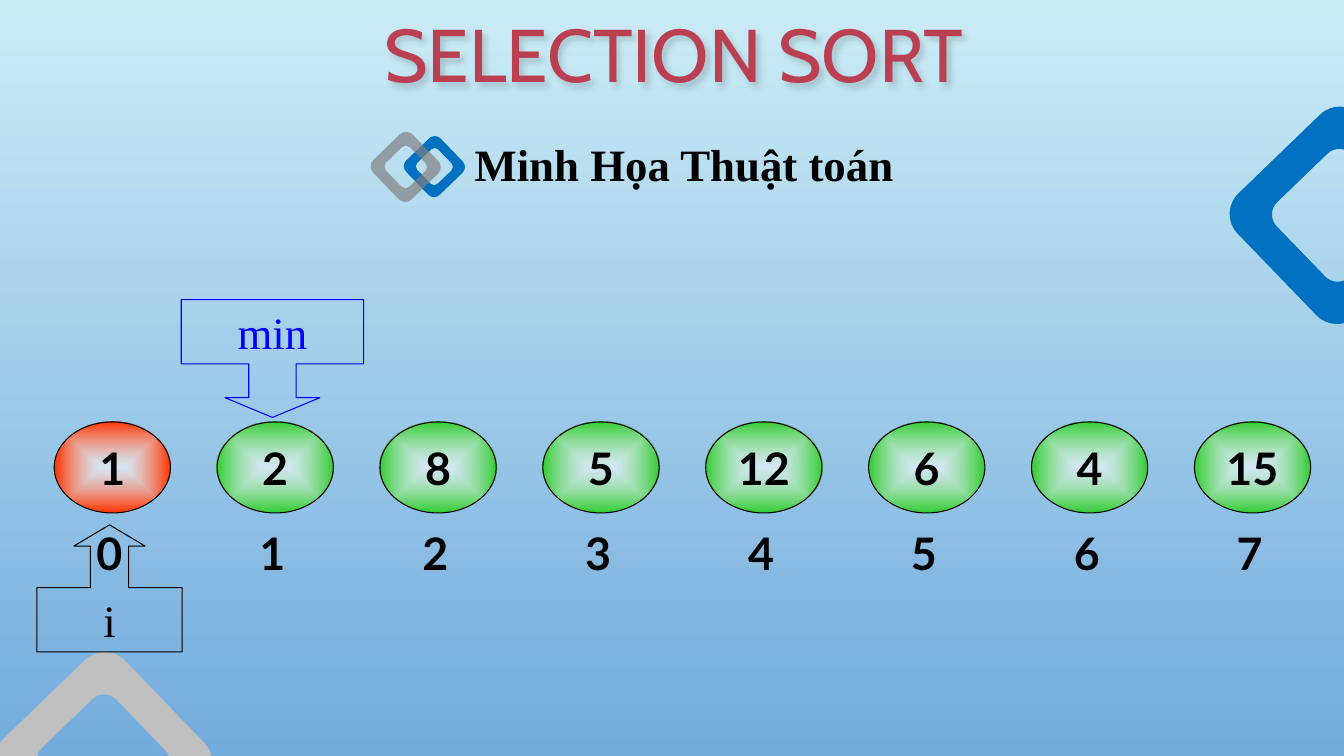
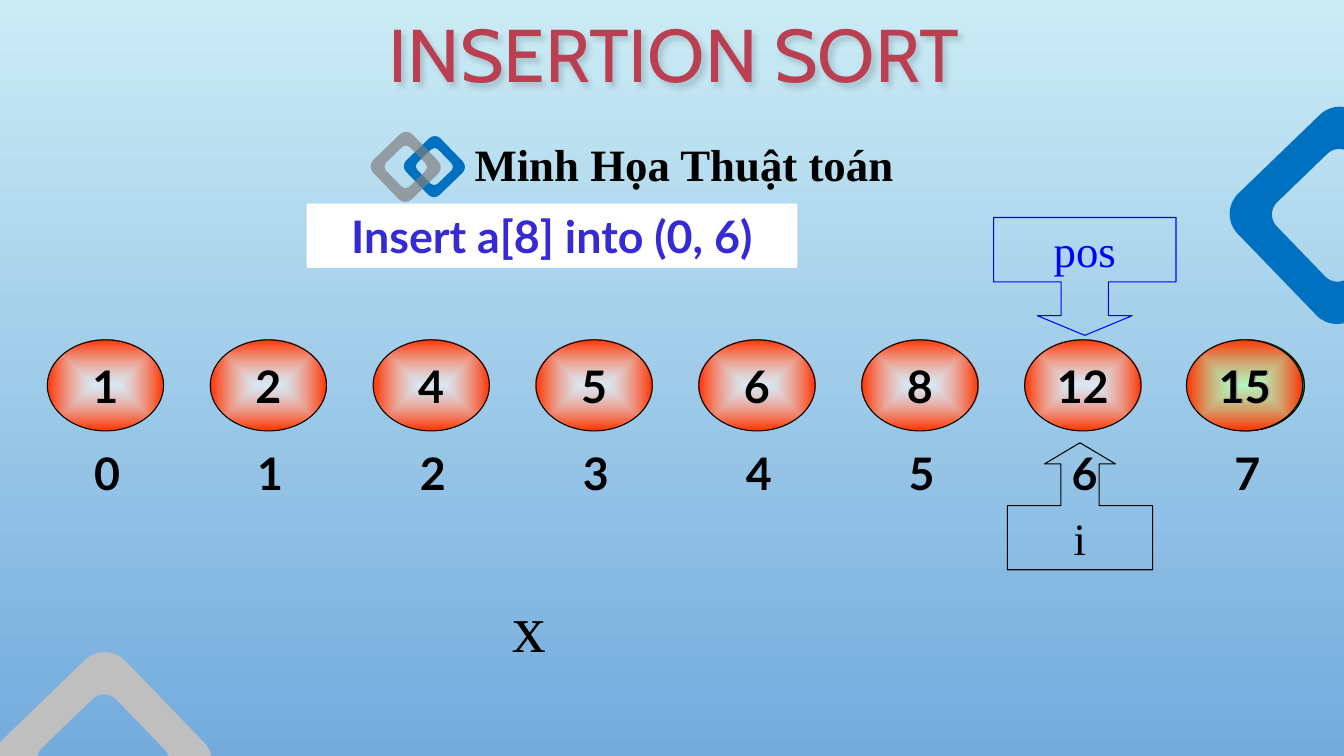
from lxml.etree import SubElement
from pptx import Presentation
from pptx.dml.color import RGBColor
from pptx.enum.shapes import MSO_SHAPE
from pptx.enum.text import MSO_ANCHOR, MSO_AUTO_SIZE, PP_ALIGN
from pptx.oxml.ns import qn
from pptx.util import Pt

SKY_TOP = RGBColor(0xCB, 0xEC, 0xF5)
SKY_BOTTOM = RGBColor(0x73, 0xAB, 0xDD)
TITLE_RED = RGBColor(0xBA, 0x3F, 0x51)
RING_BLUE = RGBColor(0x00, 0x70, 0xC0)
RING_SILVER = RGBColor(0xBF, 0xBF, 0xBF)
RING_GREY = RGBColor(0x80, 0x80, 0x80)
BLACK = RGBColor(0x00, 0x00, 0x00)
WHITE = RGBColor(0xFF, 0xFF, 0xFF)
SORTED_RED = RGBColor(0xFF, 0x33, 0x00)
UNSORTED_GREEN = RGBColor(0x33, 0xCC, 0x33)
BRIGHT_GREEN = RGBColor(0x00, 0xFF, 0x00)
DARK_GREEN = RGBColor(0x00, 0xB6, 0x00)
POINTER_BLUE = RGBColor(0x00, 0x00, 0xFF)
NOTE_BLUE = RGBColor(0x36, 0x2A, 0xD4)

SERIF = "Times New Roman"
SANS = "Lato"
TITLE_FONT = "Cabin"

SLOT_PITCH = 116.35
CELL_WIDTH, CELL_HEIGHT = 83, 65
ARROW_UP = (MSO_SHAPE.UP_ARROW_CALLOUT, 103.7, 90.7, 73.5, (0.301, 0.28, 0.167, 0.505))
ARROW_DOWN = (MSO_SHAPE.DOWN_ARROW_CALLOUT, 130.3, 84.2, -87.4, (0.402, 0.402, 0.167, 0.546))


def write_text(shape, text, *, font=SANS, size=32, color=BLACK, bold=False,
               align=PP_ALIGN.CENTER, wrap=True):
    """Put one formatted line of text in the middle of a shape."""
    frame = shape.text_frame
    frame.word_wrap = wrap
    frame.auto_size = MSO_AUTO_SIZE.NONE
    frame.vertical_anchor = MSO_ANCHOR.MIDDLE
    frame.margin_left = frame.margin_right = 0
    paragraph = frame.paragraphs[0]
    paragraph.alignment = align
    run = paragraph.add_run()
    run.text = text
    run.font.name = font
    run.font.size = Pt(size)
    run.font.bold = bold
    run.font.color.rgb = color


def set_alpha(fill_element, percent):
    """Make the first colour of a fill partly transparent."""
    color = next(fill_element.iter(qn("a:srgbClr")))
    SubElement(color, qn("a:alpha"), val=str(percent * 1000))


def set_gradient(fill, first, last):
    """Give a fill a two-colour gradient."""
    fill.gradient()
    for stop, color in zip(fill.gradient_stops, (first, last)):
        stop.color.rgb = color


def add_panel(slide, kind, box, fill=None, line=None):
    """Add a preset shape with an optional solid fill and thin line."""
    shape = slide.shapes.add_shape(kind, *map(Pt, box))
    shape.shadow.inherit = False
    if fill is None:
        shape.fill.background()
    else:
        shape.fill.solid()
        shape.fill.fore_color.rgb = fill
    if line is None:
        shape.line.fill.background()
    else:
        shape.line.color.rgb = line
        shape.line.width = Pt(0.75)
    return shape


def rounded_square(center_x, center_y, side, radius):
    """Return four curve points for each round corner of a square."""
    half = side / 2
    bend = half - radius * 0.45
    flat = half - radius
    corner = ((half, flat), (half, bend), (bend, half), (flat, half))
    points = []
    for turn in range(4):
        points += [(Pt(center_x + x), Pt(center_y + y)) for x, y in corner]
        corner = [(-y, x) for x, y in corner]
    return points


def curve_corners(shape):
    """Turn the three lines at each corner of an outline into one curve."""
    outline = next(shape.element.iter(qn("a:path")))
    lines = []
    for segment in list(outline):
        if segment.tag != qn("a:lnTo"):
            lines = []
            continue
        lines.append(segment)
        if len(lines) == 3:
            curve = SubElement(outline, qn("a:cubicBezTo"))
            lines[0].addprevious(curve)
            for line in lines:
                curve.append(line[0])
                outline.remove(line)
        elif len(lines) == 4:
            lines = []


def add_ring(slide, center_x, center_y, side, color, alpha=None):
    """Draw a tilted square ring around a centre."""
    outer = rounded_square(center_x, center_y, side, side * 0.166)
    inner = rounded_square(center_x, center_y, side * 0.61, side * 0.1)
    builder = slide.shapes.build_freeform(*outer[0])
    builder.add_line_segments(outer[1:])
    builder.move_to(*inner[0])
    builder.add_line_segments(inner[1:])
    ring = builder.convert_to_shape()
    curve_corners(ring)
    ring.rotation = 316
    ring.shadow.inherit = False
    ring.line.fill.background()
    ring.fill.solid()
    ring.fill.fore_color.rgb = color
    if alpha:
        set_alpha(ring.element.spPr.find(qn("a:solidFill")), alpha)


def add_title(slide, text):
    """Format the title placeholder across the top, with a soft shadow."""
    title = slide.shapes.title
    title.left, title.top, title.width, title.height = map(Pt, (0, 0, 962.6, 75.6))
    write_text(title, text, font=TITLE_FONT, size=53.3, color=TITLE_RED)
    effects = SubElement(title.element.spPr, qn("a:effectLst"))
    shadow = SubElement(effects, qn("a:outerShdw"), blurRad="50800", dist="38100",
                        dir="2700000", algn="tl", rotWithShape="0")
    color = SubElement(shadow, qn("a:srgbClr"), val=str(BLACK))
    SubElement(color, qn("a:alpha"), val="15000")


def add_heading(slide, left, top):
    """Place the subtitle with its pair of linked rings."""
    box = slide.shapes.add_textbox(Pt(left + 69), Pt(top), Pt(320), Pt(39.6))
    write_text(box, "Minh Họa Thuật toán", font=SERIF, bold=True, align=PP_ALIGN.LEFT)
    add_ring(slide, left + 40.3, top + 21.8, 34.2, RING_BLUE)
    add_ring(slide, left + 19.8, top + 22, 39.2, RING_GREY, alpha=69)


def add_cell(slide, left, top, value, rim, center=WHITE):
    """Draw one array element as an ellipse that glows from its centre."""
    cell = add_panel(slide, MSO_SHAPE.OVAL, (left, top, CELL_WIDTH, CELL_HEIGHT), line=BLACK)
    set_gradient(cell.fill, center, rim)
    gradient = cell.element.spPr.find(qn("a:gradFill"))
    gradient.remove(gradient.find(qn("a:lin")))
    glow = SubElement(gradient, qn("a:path"), path="shape")
    SubElement(glow, qn("a:fillToRect"), l="50000", t="50000", r="50000", b="50000")
    set_alpha(gradient, 60)
    write_text(cell, str(value), bold=True, wrap=False)


def add_indices(slide, left, top, count):
    """Number the array slots from zero."""
    for index in range(count):
        box = (left + index * SLOT_PITCH, top, CELL_WIDTH, CELL_HEIGHT)
        label = add_panel(slide, MSO_SHAPE.OVAL, box)
        write_text(label, str(index), bold=True, wrap=False)


def add_pointer(slide, row_left, row_top, slot, text, arrow, color, shift=-2):
    """Point a labelled arrow at one slot of an array row."""
    kind, width, height, drop, adjustments = arrow
    center = row_left + slot * SLOT_PITCH + CELL_WIDTH / 2 + shift
    box = (center - width / 2, row_top + drop, width, height)
    callout = add_panel(slide, kind, box, line=color)
    for position, value in enumerate(adjustments):
        callout.adjustments[position] = value
    write_text(callout, text, font=SERIF, color=color)


def start_slide(presentation, title):
    """Add a slide with the shared rings, heading and title."""
    slide = presentation.slides.add_slide(presentation.slide_layouts[5])
    add_ring(slide, 73.8, 543.4, 121.7, RING_SILVER)
    add_ring(slide, 956, 153.8, 121.7, RING_BLUE)
    add_heading(slide, 270, 97.2)
    add_title(slide, title)
    return slide


def build_selection_slide(presentation):
    """Show selection sort with the first element settled."""
    slide = start_slide(presentation, "SELECTION SORT")
    left, top = 38.75, 301.4
    values = (1, 2, 8, 5, 12, 6, 4, 15)
    for slot, value in enumerate(values):
        rim = UNSORTED_GREEN if slot else SORTED_RED
        add_cell(slide, left + slot * SLOT_PITCH, top, value, rim)
    add_pointer(slide, left, top, 0, "i", ARROW_UP, BLACK)
    add_pointer(slide, left, top, 1, "min", ARROW_DOWN, POINTER_BLUE)
    add_indices(slide, left - 2, top + 60.7, len(values))


def build_insertion_slide(presentation):
    """Show insertion sort as the last element settles."""
    slide = start_slide(presentation, "INSERTION SORT")
    left, top = 33.85, 242.8
    values = (1, 2, 4, 5, 6, 8, 12, 15)
    last_left = left + (len(values) - 1) * SLOT_PITCH
    for slot, value in enumerate(values[:-1]):
        add_cell(slide, left + slot * SLOT_PITCH, top, value, SORTED_RED)
    add_cell(slide, last_left + 0.4, top, values[-1], DARK_GREEN, center=BRIGHT_GREEN)
    add_pointer(slide, left, top, 6, "i", ARROW_UP, BLACK)
    variable = slide.shapes.add_textbox(Pt(339), Pt(414), Pt(77.8), Pt(65.5))
    write_text(variable, "x", font=SERIF, size=48)
    add_indices(slide, left + 1.25, top + 62, len(values))
    add_pointer(slide, left, top, 6, "pos", ARROW_DOWN, POINTER_BLUE, shift=1.4)
    note = add_panel(slide, MSO_SHAPE.RECTANGLE, (219, 145.4, 350.6, 46), fill=WHITE)
    write_text(note, "Insert a[8] into (0, 6)", color=NOTE_BLUE, bold=True)
    add_cell(slide, last_left - 0.8, top, values[-1], SORTED_RED)


def main():
    """Build and save the presentation."""
    presentation = Presentation()
    presentation.slide_width, presentation.slide_height = Pt(960), Pt(540)
    background = presentation.slide_master.background.fill
    set_gradient(background, SKY_TOP, SKY_BOTTOM)
    background.gradient_angle = 270
    build_selection_slide(presentation)
    build_insertion_slide(presentation)
    presentation.save("out.pptx")


if __name__ == "__main__":
    main()
